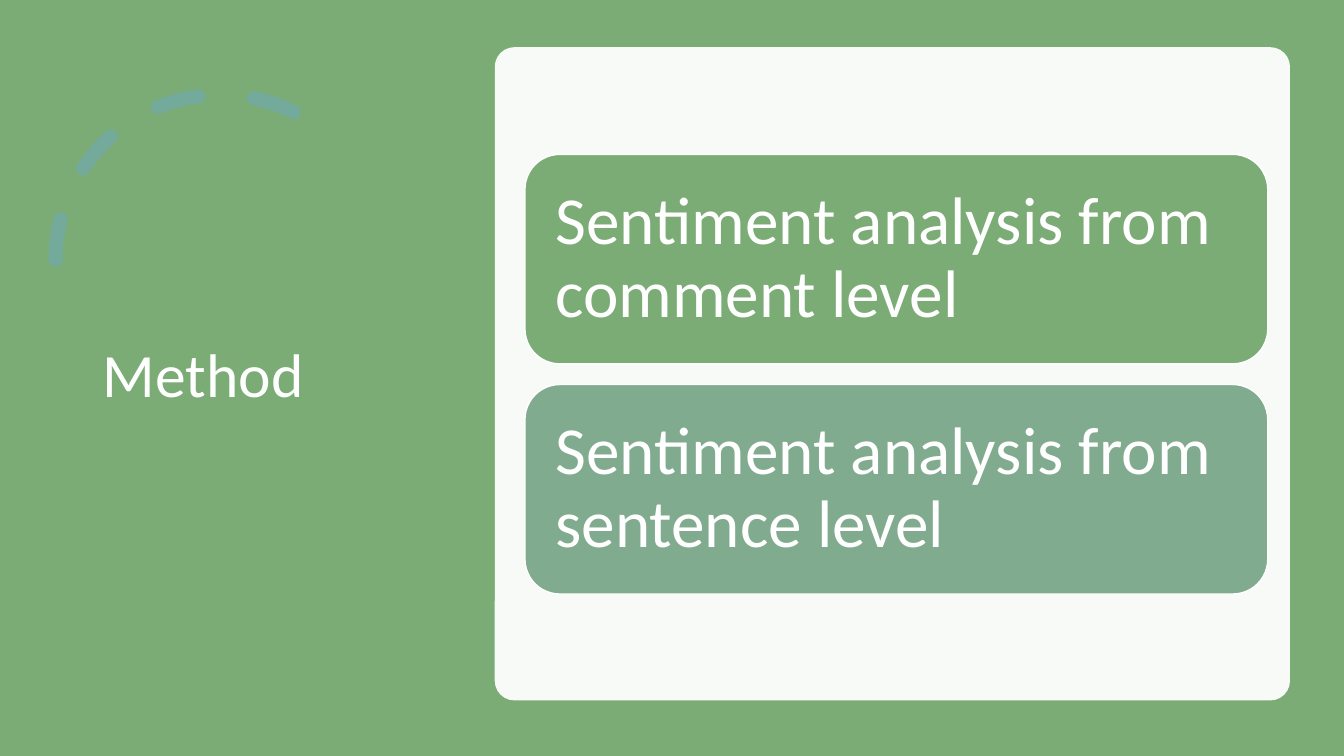
import pptx
import pptx.dml.color
import pptx.enum.dml
import pptx.enum.shapes
import pptx.enum.text
import pptx.oxml
import pptx.oxml.ns
import pptx.util

Cm = pptx.util.Cm
Pt = pptx.util.Pt
SHAPES = pptx.enum.shapes.MSO_SHAPE


class MethodSlide:
    colors = {"green": "7BAC75", "sage": "81AB8E", "teal": "74AA9B", "white": "FFFFFF"}
    font = "Calibri"

    def __init__(self, deck):
        self.slide = deck.slides.add_slide(deck.slide_layouts[5])
        self.paint(self.slide.background.fill, "green")

    def rgb(self, color):
        return pptx.dml.color.RGBColor.from_string(self.colors[color])

    def paint(self, fill, color):
        fill.solid()
        fill.fore_color.rgb = self.rgb(color)

    def set_text(self, frame, text, size):
        frame.text = text
        frame.word_wrap = True
        frame.vertical_anchor = pptx.enum.text.MSO_ANCHOR.MIDDLE
        paragraph = frame.paragraphs[0]
        paragraph.alignment = pptx.enum.text.PP_ALIGN.LEFT
        paragraph.line_spacing = 0.9
        paragraph.font.name = self.font
        paragraph.font.size = Pt(size)
        paragraph.font.color.rgb = self.rgb("white")

    def title(self, text, left, top, width, height):
        heading = self.slide.shapes.title
        heading.left, heading.top = Cm(left), Cm(top)
        heading.width, heading.height = Cm(width), Cm(height)
        self.set_text(heading.text_frame, text, 44)

    def shape(self, kind, left, top, width, height):
        shape = self.slide.shapes.add_shape(kind, Cm(left), Cm(top), Cm(width), Cm(height))
        shape.shadow.inherit = False
        return shape

    def dashed_arc(self, left, top, size):
        arc = self.shape(SHAPES.ARC, left, top, size, size)
        arc.adjustments[0] = 146.13
        arc.adjustments[1] = 0
        arc.fill.background()
        arc.line.color.rgb = self.rgb("teal")
        arc.line.width = Pt(10)
        arc.line.dash_style = pptx.enum.dml.MSO_LINE.DASH
        properties = arc._element.spPr
        properties.find(pptx.oxml.ns.qn("a:xfrm")).set("flipH", "1")
        properties.find(pptx.oxml.ns.qn("a:ln")).set("cap", "rnd")

    def panel(self, left, top, width, height):
        panel = self.shape(SHAPES.ROUNDED_RECTANGLE, left, top, width, height)
        panel.adjustments[0] = 0.03
        self.paint(panel.fill, "white")
        panel.line.fill.background()
        white = panel._element.spPr.find(".//" + pptx.oxml.ns.qn("a:srgbClr"))
        alpha = pptx.oxml.parse_xml(f'<a:alpha {pptx.oxml.ns.nsdecls("a")} val="95000"/>')
        white.append(alpha)

    def card(self, text, color, left, top, width, height):
        card = self.shape(SHAPES.ROUNDED_RECTANGLE, left, top, width, height)
        self.paint(card.fill, color)
        card.line.color.rgb = self.rgb("white")
        card.line.width = Pt(1)
        frame = card.text_frame
        frame.margin_left = frame.margin_right = Cm(0.51)
        frame.margin_top = frame.margin_bottom = Cm(0.51)
        self.set_text(frame, text, 48)


def main():
    deck = pptx.Presentation()
    deck.slide_width, deck.slide_height = Cm(33.87), Cm(19.05)
    method = MethodSlide(deck)
    method.dashed_arc(1.4, 2.39, 8.31)
    method.title("Method", 2.34, 1.78, 8.2, 15.47)
    method.panel(12.47, 1.19, 20.04, 16.46)
    levels = [("comment", "green"), ("sentence", "sage")]
    for row, (level, color) in enumerate(levels):
        top = 3.89 + row * 5.8
        method.card(f"Sentiment analysis from {level} level", color, 13.23, top, 18.72, 5.28)
    deck.save("out.pptx")


if __name__ == "__main__":
    main()
